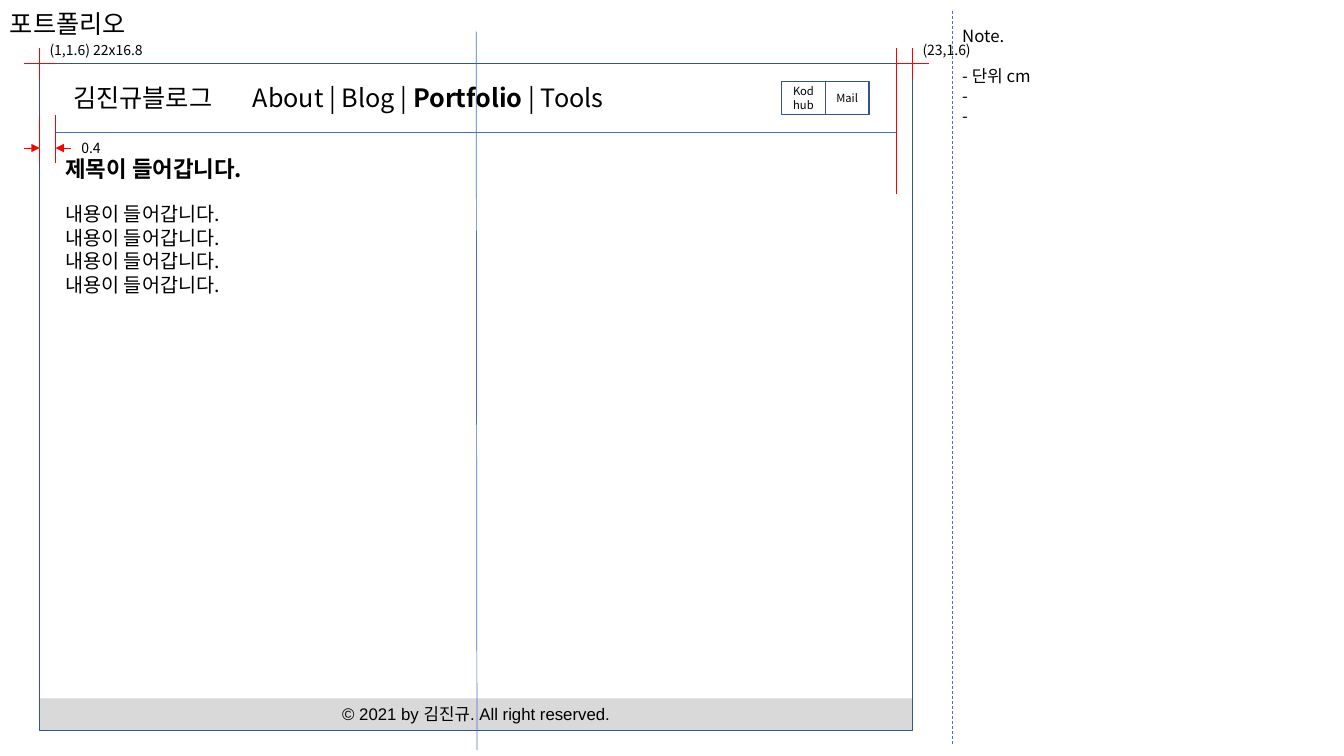
from dataclasses import dataclass

from lxml.etree import SubElement
from pptx import Presentation
from pptx.dml.color import RGBColor as RGB
from pptx.enum.dml import MSO_LINE as Dash
from pptx.enum.shapes import MSO_CONNECTOR as Link, MSO_SHAPE as Shape
from pptx.enum.text import MSO_ANCHOR as Anchor, PP_ALIGN as Align
from pptx.oxml.ns import qn
from pptx.util import Cm, Pt


@dataclass(frozen=True)
class Theme:
    ink: str = "000000"
    footer: str = "D9D9D9"
    frame: str = "325491"
    rule: str = "4472C4"
    guide: str = "FF0000"
    sans: str = "Noto Sans CJK KR"
    latin: str = "Arial"
    heading: float = 18
    title: float = 16
    content: float = 14
    note: float = 12
    label: float = 10
    button: float = 8
    hairline: float = 0.5
    gap: float = 14.5


class Wireframe:
    def __init__(self, slide, theme):
        self.shapes = slide.shapes
        self.theme = theme

    def style_run(self, run, size, bold=False, font=None):
        run.font.name = font or self.theme.sans
        run.font.size = Pt(size)
        run.font.bold = bold
        run.font.color.rgb = RGB.from_string(self.theme.ink)
        # East Asian glyphs take their own typeface
        SubElement(run.font._element, qn("a:ea"), typeface=self.theme.sans)

    def set_text(self, frame, text, size, align=Align.LEFT, anchor=Anchor.MIDDLE, font=None):
        frame.word_wrap = True
        frame.vertical_anchor = anchor
        frame.text = text
        for paragraph in frame.paragraphs:
            paragraph.alignment = align
            for run in paragraph.runs:
                self.style_run(run, size, font=font)
        return frame

    def text(self, box, text, size, **layout):
        area = self.shapes.add_textbox(*map(Cm, box))
        return self.set_text(area.text_frame, text, size, **layout)

    def box(self, box, fill=None, line=None, width=None):
        area = self.shapes.add_shape(Shape.RECTANGLE, *map(Cm, box))
        area.shadow.inherit = False
        if fill:
            area.fill.solid()
            area.fill.fore_color.rgb = RGB.from_string(fill)
        else:
            area.fill.background()
        if line:
            area.line.color.rgb = RGB.from_string(line)
            area.line.width = Pt(width or self.theme.hairline)
        else:
            area.line.fill.background()
        return area.text_frame

    def line(self, ends, color, dash=None, arrow=False):
        stroke = self.shapes.add_connector(Link.STRAIGHT, *map(Cm, ends))
        stroke.line.color.rgb = RGB.from_string(color)
        stroke.line.width = Pt(self.theme.hairline)
        if dash:
            stroke.line.dash_style = dash
        properties = stroke._element.spPr
        if arrow:
            SubElement(properties.find(qn("a:ln")), qn("a:tailEnd"), type="triangle")
        SubElement(properties, qn("a:effectLst"))


LEFT, TOP, WIDTH, HEIGHT = 1, 1.6, 22, 16.8
RIGHT = LEFT + WIDTH
MARGIN = 0.4
INNER_LEFT, INNER_RIGHT = LEFT + MARGIN, RIGHT - MARGIN
HEADER_HEIGHT = 1.73
HEADER_BOTTOM = TOP + HEADER_HEIGHT
FOOTER_HEIGHT = 0.8
NOTE_LEFT = 24
NAV_LEFT = 6.12
MARGIN_Y = 3.73
LABEL_HEIGHT = 0.68
LABEL_Y = 0.93


def draw_page(page, theme):
    footer = page.box((LEFT, TOP + HEIGHT - FOOTER_HEIGHT, WIDTH, FOOTER_HEIGHT), theme.footer)
    page.set_text(footer, "© 2021 by 김진규. All right reserved.", theme.note,
                  Align.CENTER, Anchor.TOP, theme.latin)
    page.text((0, 0, NOTE_LEFT, 1.2), "포트폴리오", theme.heading)
    page.text((1.07, TOP, 5.05, HEADER_HEIGHT), "김진규블로그", theme.heading, align=Align.CENTER)
    page.line((INNER_LEFT, HEADER_BOTTOM, INNER_RIGHT, HEADER_BOTTOM), theme.rule)

    menu = page.text((NAV_LEFT, TOP, RIGHT - NAV_LEFT, HEADER_HEIGHT), "About | Blog | ", theme.heading)
    for item, bold in (("Portfolio ", True), ("| Tools", False)):
        run = menu.paragraphs[0].add_run()
        run.text = item
        page.style_run(run, theme.heading, bold)

    page.box((LEFT, TOP, WIDTH, HEIGHT), line=theme.frame)
    for column, name in enumerate(("Kodhub", "Mail")):
        button = page.box((19.7 + 1.1 * column, 2.06, 1.1, 0.82), line=theme.frame, width=1)
        page.set_text(button, name, theme.button, Align.CENTER)

    lines = ["제목이 들어갑니다."] + ["내용이 들어갑니다."] * 4
    body = page.text((INNER_LEFT, 3.78, INNER_RIGHT - INNER_LEFT, 13.49), "\n".join(lines),
                     theme.content, anchor=Anchor.TOP)
    title = body.paragraphs[0]
    title.space_after = Pt(theme.gap)
    title.runs[0].font.size = Pt(theme.title)
    title.runs[0].font.bold = True


def draw_notes(page, theme):
    notes = page.text((NOTE_LEFT, 0, 9.86, 19.05), "Note.\n- 단위 cm\n-\n-", theme.note, anchor=Anchor.TOP)
    notes.margin_top = Cm(0.64)
    notes.paragraphs[0].space_after = Pt(theme.gap)
    page.line((NOTE_LEFT, 0.27, NOTE_LEFT, 18.78), theme.rule, Dash.DASH)


def draw_guides(page, theme):
    page.line((12, 0.8, 12.02, 18.9), theme.rule)
    for corner in (LEFT, RIGHT):
        page.line((corner, TOP + MARGIN, corner, TOP - MARGIN), theme.guide)
        page.line((corner - MARGIN, TOP, corner + MARGIN, TOP), theme.guide)
    for edge in (LEFT, INNER_LEFT):
        page.line((edge, 4.1, edge, 2.9), theme.guide)
    page.line((INNER_RIGHT, 4.9, INNER_RIGHT, TOP - MARGIN), theme.guide)
    for start, end in ((LEFT - MARGIN, LEFT), (INNER_LEFT + MARGIN, INNER_LEFT)):
        page.line((start, MARGIN_Y, end, MARGIN_Y), theme.guide, arrow=True)
    for left, top, width, measure in (
        (LEFT, LABEL_Y, 2.97, "(1,1.6) 22x16.8"),
        (INNER_LEFT + MARGIN, 3.39, 2.97, "0.4"),
        (RIGHT, LABEL_Y, 1.8, "(23,1.6)"),
    ):
        page.text((left, top, width, LABEL_HEIGHT), measure, theme.label)


def main():
    deck = Presentation()
    deck.slide_width, deck.slide_height = Cm(33.87), Cm(19.05)
    theme = Theme()
    page = Wireframe(deck.slides.add_slide(deck.slide_layouts[6]), theme)
    draw_page(page, theme)
    draw_notes(page, theme)
    draw_guides(page, theme)
    deck.save("out.pptx")


if __name__ == "__main__":
    main()
